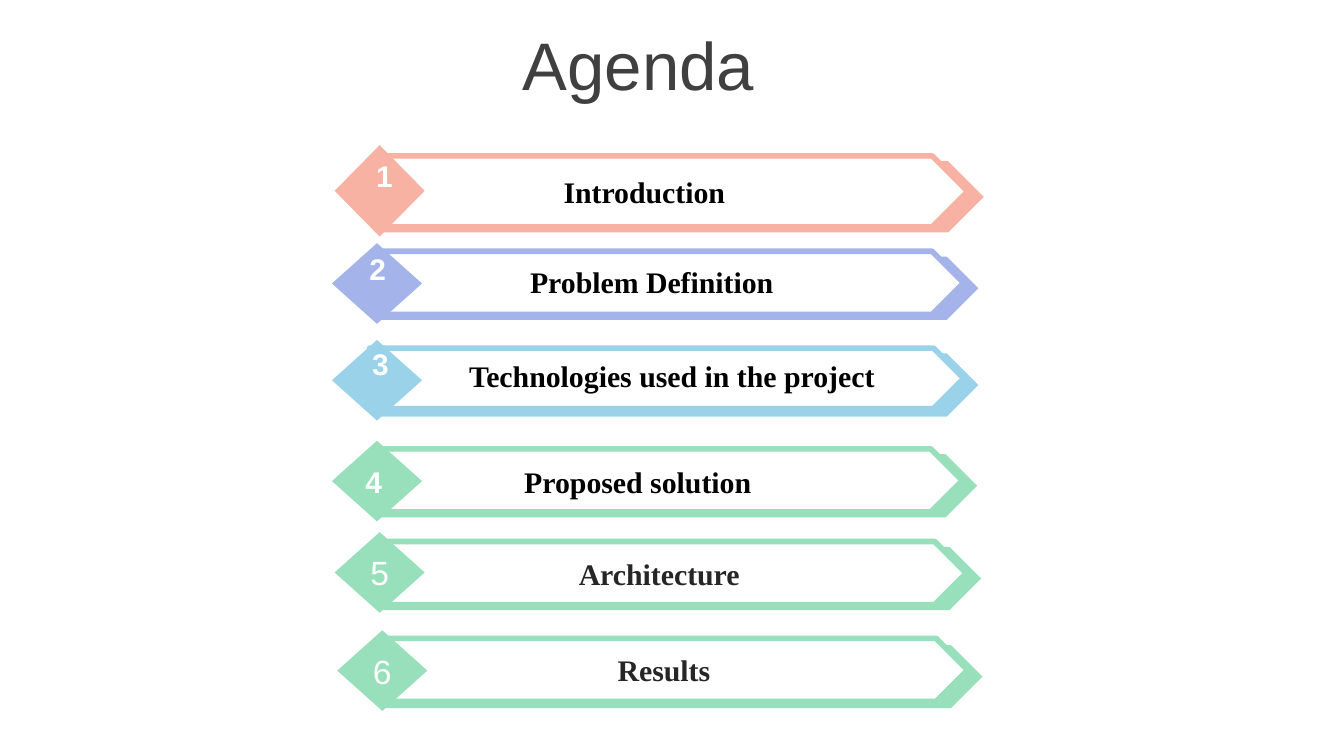
from dataclasses import dataclass
from typing import Any, Optional

import pptx
import pptx.dml.color
import pptx.enum.shapes
import pptx.enum.text
import pptx.util

Inches = pptx.util.Inches
Pt = pptx.util.Pt
Shapes = pptx.enum.shapes.MSO_SHAPE
Anchor = pptx.enum.text.MSO_ANCHOR
Align = pptx.enum.text.PP_ALIGN

PAGE_WIDTH = 10
PAGE_HEIGHT = PAGE_WIDTH * 9 / 16


@dataclass(frozen=True)
class Theme:
    coral: str = "F8B2A3"
    violet: str = "A4B4EA"
    sky: str = "9AD3E9"
    mint: str = "98DFBB"
    white: str = "FFFFFF"
    black: str = "000000"
    dark: str = "262626"
    heading: str = "404040"
    sans: str = "Arial"
    serif: str = "Times New Roman"
    title_size: int = 36
    label_size: int = 16
    large_number_size: int = 18
    border: int = 3


THEME = Theme()


@dataclass(frozen=True)
class Area:
    left: float
    top: float
    width: float
    height: float

    def lengths(self) -> tuple:
        return tuple(Inches(n) for n in (self.left, self.top, self.width, self.height))


@dataclass(frozen=True)
class AgendaItem:
    label: str
    color: str
    back: Area
    front: Area
    diamond: Area
    # Without these areas the text sits inside the banner itself
    number_area: Optional[Area] = None
    label_area: Optional[Area] = None
    right_inset: float = 0.1


def banner(label: str, color: str, left: float, top: float, **extra: Any) -> AgendaItem:
    """Lay out a banner of the common size from the corner of its back plate."""
    areas = {
        "back": Area(left, top, 4.45, 0.47),
        "front": Area(left, top - 0.04, 4.34, 0.47),
        "diamond": Area(left - 0.36, top - 0.1, 0.67, 0.6),
    }
    return AgendaItem(label, color, **{**areas, **extra})


ITEMS = [
    banner("Introduction", THEME.coral, 2.85, 1.2,
           back=Area(2.85, 1.2, 4.47, 0.53), front=Area(2.85, 1.16, 4.35, 0.53),
           diamond=Area(2.49, 1.08, 0.67, 0.68),
           number_area=Area(2.71, 1.12, 0.3, 0.37),
           label_area=Area(3.01, 1.24, 3.57, 0.37)),
    banner("Problem Definition", THEME.violet, 2.83, 1.91,
           number_area=Area(2.66, 1.81, 0.3, 0.37),
           label_area=Area(3.48, 1.91, 2.74, 0.64)),
    banner("Technologies used in the project", THEME.sky, 2.83, 2.63,
           front=Area(2.75, 2.59, 4.42, 0.45),
           number_area=Area(2.68, 2.52, 0.3, 0.37),
           label_area=Area(3.37, 2.61, 3.26, 0.37)),
    banner("Proposed solution", THEME.mint, 2.82, 3.38,
           diamond=Area(2.47, 3.28, 0.67, 0.6),
           number_area=Area(2.61, 3.39, 0.34, 0.38),
           label_area=Area(3.22, 3.4, 3.05, 0.64)),
    banner("Architecture", THEME.mint, 2.85, 4.07,
           diamond=Area(2.49, 3.96, 0.67, 0.6), right_inset=0.21),
    banner("Results", THEME.mint, 2.86, 4.8,
           front=Area(2.86, 4.75, 4.34, 0.47),
           diamond=Area(2.51, 4.69, 0.67, 0.6), right_inset=0.16),
]


def rgb(color: str) -> pptx.dml.color.RGBColor:
    return pptx.dml.color.RGBColor.from_string(color)


def write(shape: Any, text: str, color: str, font: str, size: int, bold: bool,
          anchor: Any = Anchor.MIDDLE, **insets: Any) -> None:
    """Put one centred line of text in a shape."""
    frame = shape.text_frame
    for name, value in {"word_wrap": True, "vertical_anchor": anchor, **insets}.items():
        setattr(frame, name, value)
    para = frame.paragraphs[0]
    para.alignment = Align.CENTER
    span = para.add_run()
    span.text = text
    for name, value in {"name": font, "size": Pt(size), "bold": bold}.items():
        setattr(span.font, name, value)
    span.font.color.rgb = rgb(color)


def add_plate(page: Any, kind: Any, area: Area, fill: str, line: Optional[str] = None) -> Any:
    shape = page.shapes.add_shape(kind, *area.lengths())
    shape.shadow.inherit = False
    shape.fill.solid()
    shape.fill.fore_color.rgb = rgb(fill)
    if line:
        shape.line.color.rgb = rgb(line)
        shape.line.width = Pt(THEME.border)
    else:
        shape.line.fill.background()
    return shape


def add_item(page: Any, number: int, item: AgendaItem) -> None:
    # Back plate, outlined front plate and number diamond
    add_plate(page, Shapes.PENTAGON, item.back, item.color)
    front = add_plate(page, Shapes.PENTAGON, item.front, THEME.white, item.color)
    diamond = add_plate(page, Shapes.DIAMOND, item.diamond, item.color)

    # Number
    if item.number_area:
        box = page.shapes.add_textbox(*item.number_area.lengths())
        write(box, str(number), THEME.white, THEME.sans, THEME.label_size, True,
              margin_left=0, margin_right=0)
    else:
        write(diamond, str(number), THEME.white, THEME.sans, THEME.large_number_size, False,
              margin_left=0, margin_right=0)

    # Label
    if item.label_area:
        box = page.shapes.add_textbox(*item.label_area.lengths())
        write(box, item.label, THEME.black, THEME.serif, THEME.label_size, True, Anchor.TOP)
    else:
        write(front, item.label, THEME.dark, THEME.serif, THEME.label_size, True,
              margin_right=Inches(item.right_inset))


def main() -> None:
    deck = pptx.Presentation()
    deck.slide_width, deck.slide_height = Inches(PAGE_WIDTH), Inches(PAGE_HEIGHT)
    page = deck.slides.add_slide(deck.slide_layouts[5])

    # Title
    title = page.shapes.title
    title.left, title.top, title.width, title.height = Area(-0.25, 0.16, 10, 0.63).lengths()
    write(title, "Agenda", THEME.heading, THEME.sans, THEME.title_size, False)

    # Agenda banners
    for number, item in enumerate(ITEMS, start=1):
        add_item(page, number, item)

    deck.save("out.pptx")


if __name__ == "__main__":
    main()
